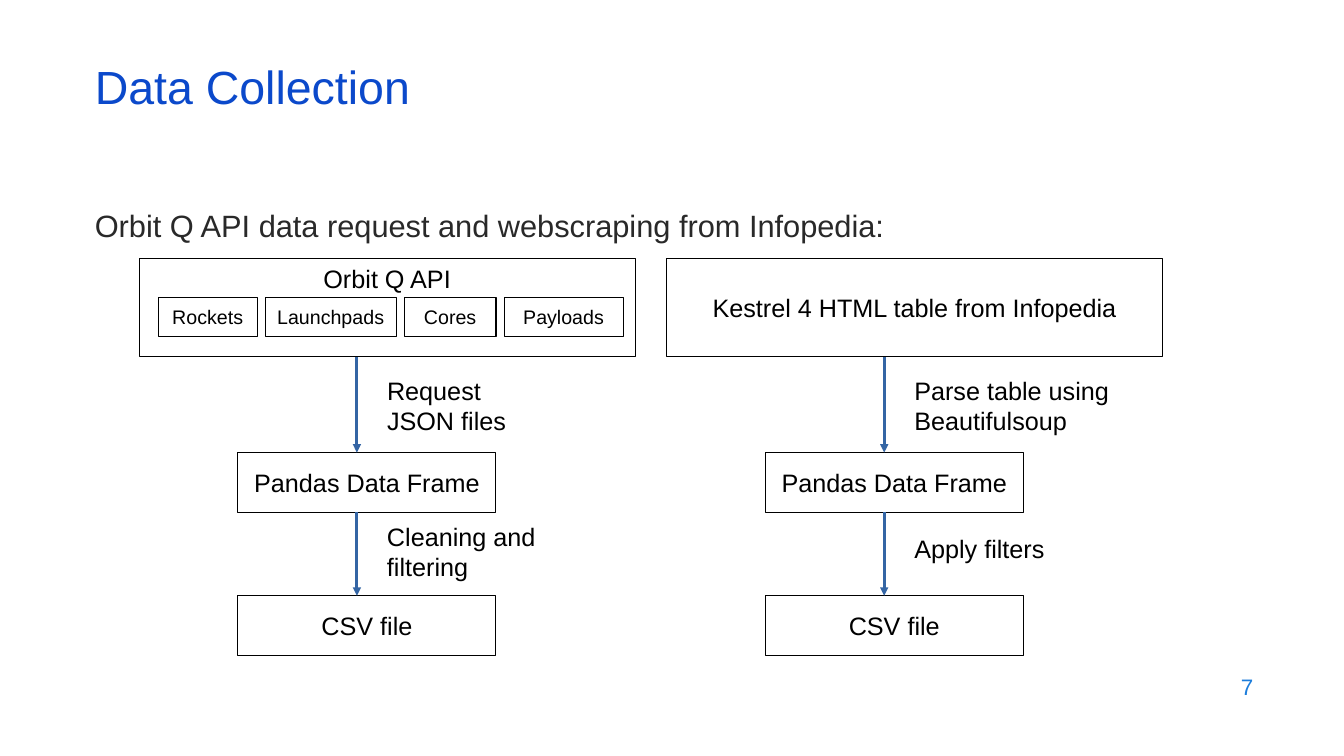
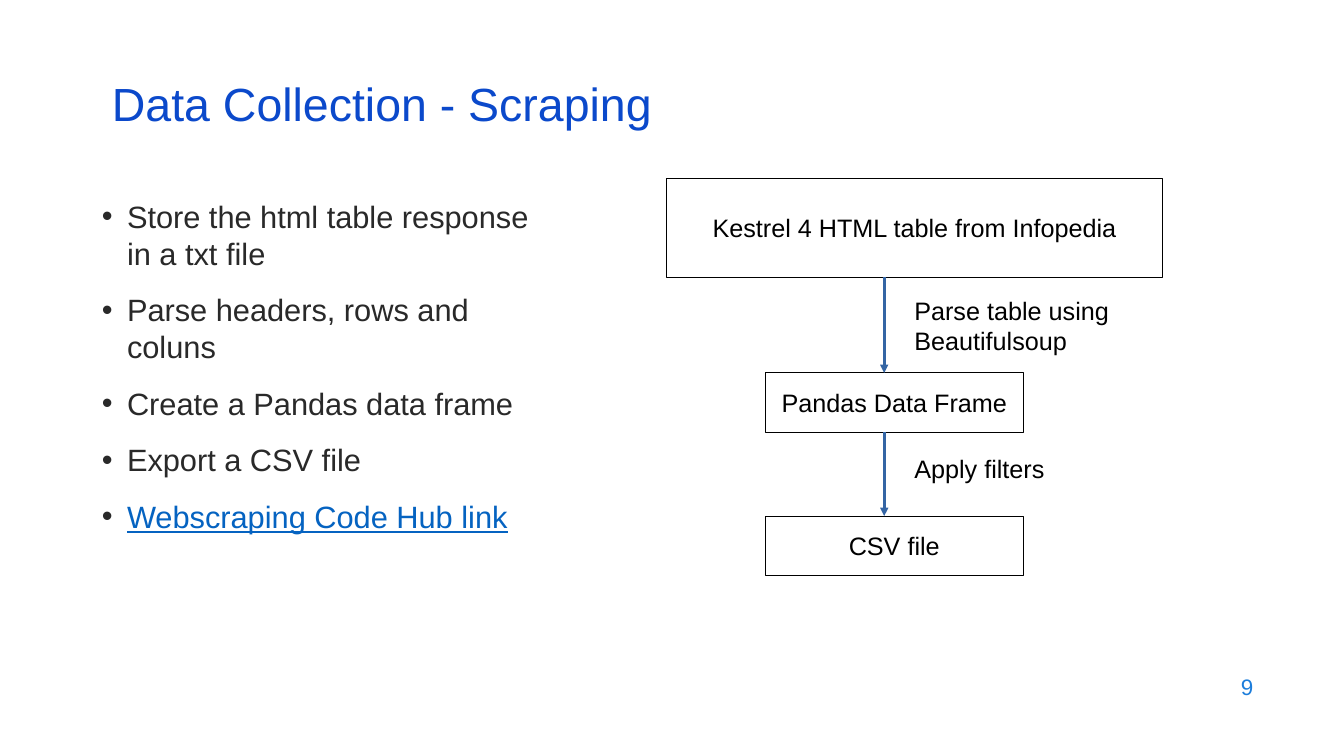
from dataclasses import dataclass

import pptx
import pptx.dml.color
import pptx.enum.shapes
import pptx.enum.text
import pptx.oxml.ns
import pptx.presentation
import pptx.shapes.base
import pptx.slide
import pptx.text.text
import pptx.util
from lxml import etree

Inches = pptx.util.Inches
Pt = pptx.util.Pt
Align = pptx.enum.text.PP_ALIGN
Anchor = pptx.enum.text.MSO_ANCHOR
qn = pptx.oxml.ns.qn

FONT = "Arial"
TITLE_BLUE = "0B49CB"
NUMBER_BLUE = "1C7DDB"
LINK_BLUE = "0563C1"
ARROW_BLUE = "3465A4"
BODY_GREY = "292929"
BLACK = "000000"
WHITE = "FFFFFF"

SOURCE_WIDTH, SOURCE_HEIGHT = 4.92, 0.98
STEP_WIDTH, STEP_HEIGHT = 2.56, 0.59
STEP_INDENT, ARROW_INDENT, LABEL_INDENT = 0.98, 2.16, 2.36
FRAME_DROP, CSV_DROP = 1.93, 3.35
ENDPOINT_GAP, ENDPOINT_HEIGHT = 0.08, 0.39


@dataclass(frozen=True)
class Label:
    text: str
    drop: float
    width: float
    height: float = 0.66


@dataclass(frozen=True)
class Flow:
    """A source that becomes a data frame and then a CSV file."""
    source: str
    left: float
    labels: tuple[Label, ...]
    endpoints: tuple[tuple[str, float], ...] = ()


API_FLOW = Flow(
    "Orbit Q API", 1.38,
    (Label("Request JSON files", 1.11, 1.38), Label("Cleaning and filtering", 2.56, 1.97)),
    (("Rockets", 0.98), ("Launchpads", 1.3), ("Cores", 0.91), ("Payloads", 1.18)),
)
SCRAPING_FLOW = Flow(
    "Kestrel 4 HTML table from Infopedia", 6.61,
    (Label("Parse table using Beautifulsoup", 1.11, 2.44), Label("Apply filters", 2.68, 1.97, 0.59)),
)


def rgb(value: str) -> pptx.dml.color.RGBColor:
    return pptx.dml.color.RGBColor.from_string(value)


def set_bullet(paragraph: pptx.text.text._Paragraph, color: str | None) -> None:
    """Give the paragraph a hanging bullet, or none when there is no colour."""
    properties = paragraph._p.get_or_add_pPr()
    indent = Inches(0.25) if color else 0
    properties.set("marL", str(indent))
    properties.set("indent", str(-indent))
    if color is None:
        etree.SubElement(properties, qn("a:buNone"))
        return
    bullet_color = etree.SubElement(properties, qn("a:buClr"))
    etree.SubElement(bullet_color, qn("a:srgbClr"), val=color)
    etree.SubElement(properties, qn("a:buFont"), typeface=FONT)
    etree.SubElement(properties, qn("a:buChar"), char="•")


def write(frame: pptx.text.text.TextFrame, *lines: str, size: float = 18, color: str = BLACK,
          align: Align = Align.LEFT, anchor: Anchor = Anchor.TOP, line_spacing: float = 1.0,
          space_before: float = 0, bullet: str | None = None,
          margins: tuple[float, float] = (0.1, 0.05)) -> None:
    frame.word_wrap = True
    frame.auto_size = pptx.enum.text.MSO_AUTO_SIZE.NONE
    frame.vertical_anchor = anchor
    frame.margin_left = frame.margin_right = Inches(margins[0])
    frame.margin_top = frame.margin_bottom = Inches(margins[1])
    for index, line in enumerate(lines):
        paragraph = frame.add_paragraph() if index else frame.paragraphs[0]
        set_bullet(paragraph, bullet)
        paragraph.alignment = align
        paragraph.line_spacing = line_spacing
        paragraph.space_before = Pt(space_before if index else 0)
        run = paragraph.add_run()
        run.text = line
        run.font.name = FONT
        run.font.size = Pt(size)
        run.font.color.rgb = rgb(color)


def place(shape: pptx.shapes.base.BaseShape, left: float, top: float,
          width: float, height: float) -> None:
    shape.left, shape.top = Inches(left), Inches(top)
    shape.width, shape.height = Inches(width), Inches(height)


def add_box(slide: pptx.slide.Slide, text: str, left: float, top: float, width: float,
            height: float, *, size: float = 18, anchor: Anchor = Anchor.MIDDLE) -> None:
    box = slide.shapes.add_shape(pptx.enum.shapes.MSO_SHAPE.RECTANGLE, Inches(left),
                                 Inches(top), Inches(width), Inches(height))
    box.shadow.inherit = False
    box.fill.solid()
    box.fill.fore_color.rgb = rgb(WHITE)
    box.line.color.rgb = rgb(BLACK)
    box.line.width = Pt(0)
    write(box.text_frame, text, size=size, align=Align.CENTER, anchor=anchor)


def add_label(slide: pptx.slide.Slide, text: str, left: float, top: float, width: float,
              height: float, **text_format) -> None:
    label = slide.shapes.add_textbox(Inches(left), Inches(top), Inches(width), Inches(height))
    write(label.text_frame, text, **text_format)


def add_down_arrow(slide: pptx.slide.Slide, x: float, top: float, bottom: float) -> None:
    arrow = slide.shapes.add_connector(pptx.enum.shapes.MSO_CONNECTOR.STRAIGHT, Inches(x),
                                       Inches(top), Inches(x), Inches(bottom))
    arrow.line.color.rgb = rgb(ARROW_BLUE)
    arrow.line.width = Pt(0)
    etree.SubElement(arrow.line._get_or_add_ln(), qn("a:tailEnd"), type="triangle")
    etree.SubElement(arrow._element.spPr, qn("a:effectLst"))


def draw_flow(slide: pptx.slide.Slide, flow: Flow, top: float) -> None:
    add_box(slide, flow.source, flow.left, top, SOURCE_WIDTH, SOURCE_HEIGHT,
            anchor=Anchor.TOP if flow.endpoints else Anchor.MIDDLE)
    endpoint_left = flow.left + 0.19
    for endpoint, width in flow.endpoints:
        add_box(slide, endpoint, endpoint_left, top + 0.39, width, ENDPOINT_HEIGHT, size=14)
        endpoint_left += width + ENDPOINT_GAP

    arrow_top = top + SOURCE_HEIGHT
    for step, drop in (("Pandas Data Frame", FRAME_DROP), ("CSV file", CSV_DROP)):
        add_box(slide, step, flow.left + STEP_INDENT, top + drop, STEP_WIDTH, STEP_HEIGHT)
        add_down_arrow(slide, flow.left + ARROW_INDENT, arrow_top, top + drop)
        arrow_top = top + drop + STEP_HEIGHT
    for label in flow.labels:
        add_label(slide, label.text, flow.left + LABEL_INDENT, top + label.drop,
                  label.width, label.height)


def add_slide(deck: pptx.presentation.Presentation, title: str, number: int,
              left: float, top: float) -> pptx.slide.Slide:
    """Add a slide with its title and page number; the body is still empty."""
    slide = deck.slides.add_slide(deck.slide_layouts[1])
    place(slide.shapes.title, left, top, 11.5, 0.6)
    write(slide.shapes.title.text_frame, title, size=33.2, color=TITLE_BLUE,
          anchor=Anchor.MIDDLE, line_spacing=0.9)
    add_label(slide, str(number), 9.53, 6.59, 3, 0.44, size=16, color=NUMBER_BLUE,
              align=Align.RIGHT, anchor=Anchor.MIDDLE)
    return slide


def add_collection_slide(deck: pptx.presentation.Presentation) -> None:
    slide = add_slide(deck, "Data Collection", 7, 0.84, 0.59)
    intro = slide.placeholders[1]
    place(intro, 0.84, 2, 11.5, 4.76)
    write(intro.text_frame, "Orbit Q API data request and webscraping from Infopedia:",
          size=22, color=BODY_GREY)
    for flow in (API_FLOW, SCRAPING_FLOW):
        draw_flow(slide, flow, 2.56)


def add_scraping_slide(deck: pptx.presentation.Presentation) -> None:
    slide = add_slide(deck, "Data Collection - Scraping", 9, 1.01, 0.76)
    steps = slide.placeholders[1]
    place(steps, 1.01, 1.96, 4.3, 4.17)
    write(steps.text_frame,
          "Store the html table response in a txt file",
          "Parse headers, rows and coluns",
          "Create a Pandas data frame",
          "Export a CSV file",
          "Webscraping Code Hub link",
          size=22, color=BODY_GREY, space_before=14, bullet=BODY_GREY, margins=(0, 0))
    link_font = steps.text_frame.paragraphs[-1].runs[0].font
    link_font.color.rgb = rgb(LINK_BLUE)
    link_font.underline = True
    draw_flow(slide, SCRAPING_FLOW, 1.77)


def main() -> None:
    deck = pptx.Presentation()
    deck.slide_width, deck.slide_height = Inches(13.33), Inches(7.5)
    add_collection_slide(deck)
    add_scraping_slide(deck)
    deck.save("out.pptx")


if __name__ == "__main__":
    main()
